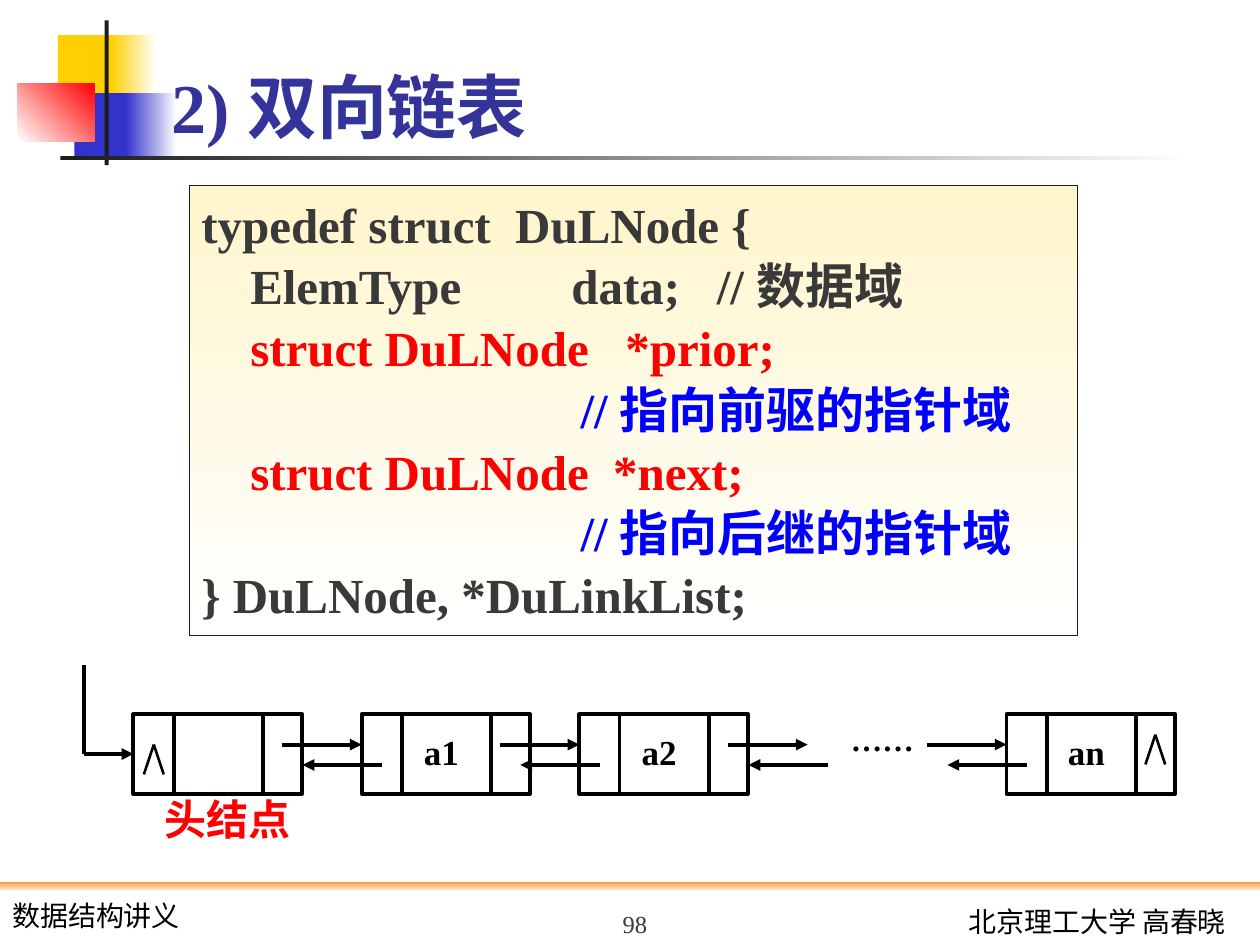
"""Build the slide on doubly linked lists: struct definition and node diagram."""
import pptx
import pptx.dml.color
import pptx.enum.shapes
import pptx.enum.text
import pptx.oxml.ns
import pptx.oxml.xmlchemy
import pptx.util
from dataclasses import dataclass

Cm = pptx.util.Cm
Pt = pptx.util.Pt
RECTANGLE = pptx.enum.shapes.MSO_SHAPE.RECTANGLE
ALIGN = pptx.enum.text.PP_ALIGN
ANCHOR = pptx.enum.text.MSO_ANCHOR


@dataclass(frozen=True)
class Theme:
    serif: str = "Times New Roman"
    footer_font: str = "Lato"
    caption_font: str = "Arial"
    title: str = "333399"
    ink: str = "393939"
    black: str = "000000"
    red: str = "FF0000"
    comment: str = "0000FF"
    dark: str = "1C1C1C"
    yellow: str = "FFCF01"
    blue: str = "3333CC"
    orange: str = "FF9933"
    cream: str = "FFF5CC"
    white: str = "FFFFFF"
    title_size: int = 40
    code_size: int = 28
    caption_size: int = 24
    node_size: int = 20
    dots_size: int = 18
    footer_size: int = 16
    number_size: int = 14


THEME = Theme()

TITLE = "2) 双向链表"
COMMENT_INDENT = " " * 31
CODE = [
    [("typedef struct  DuLNode {", THEME.ink)],
    [("    ElemType         data;   // 数据域", THEME.ink)],
    [("    struct DuLNode   *prior;", THEME.red)],
    [(COMMENT_INDENT + "// 指向前驱的指针域", THEME.comment)],
    [("    struct DuLNode  *next;", THEME.red)],
    [(COMMENT_INDENT + "// 指向后继的指针域", THEME.comment)],
    [("} DuLNode, *DuLinkList;", THEME.ink)],
]
NODES = [("", 2.69), ("a1", 7.29), ("a2", 11.68), ("an", 20.29)]
NEXT_TIPS = [7.29, 11.68, 16.28, 20.29]
NULL_MARKS = [(3.1, 15.01), (23.29, 14.81)]
DECORATION = [
    ((1.17, 0.71, 1.22, 1.32), [THEME.yellow], 0),
    ((2.24, 0.71, 0.91, 1.32), [THEME.yellow, THEME.white], 0),
    ((1.5, 1.88, 1.17, 1.32), [THEME.blue], 0),
    ((2.54, 1.88, 1.02, 1.32), [THEME.blue, THEME.white], 0),
    ((0.36, 1.68, 1.55, 1.17), [THEME.white, THEME.red], 45),
    ((2.11, 0.41, 0.08, 2.92), [THEME.dark], 0),
    ((1.22, 3.15, 22.86, 0.08), [THEME.dark, THEME.white], 0),
    ((0, 17.78, 25.4, 0.2), [THEME.orange, THEME.white], 270),
]
NODE_TOP, NODE_WIDTH, NODE_HEIGHT = 14.4, 3.4, 1.6
DATA_OFFSET, DATA_WIDTH = 0.81, 1.8
NEXT_Y, PRIOR_Y = 15.01, 15.42
ARROW_LENGTH, PRIOR_SHIFT = 1.6, 1.19
HEAD_X, HEAD_TOP = 1.7, 13.41


def rgb(value):
    return pptx.dml.color.RGBColor.from_string(value)


def write(frame, text, *, size, color=THEME.black, font=THEME.serif, bold=False,
          align=ALIGN.LEFT, anchor=ANCHOR.TOP, spacing=None, wrap=True):
    frame.word_wrap = wrap
    frame.auto_size = pptx.enum.text.MSO_AUTO_SIZE.NONE
    frame.vertical_anchor = anchor
    lines = [[(text, color)]] if isinstance(text, str) else text
    for index, line in enumerate(lines):
        paragraph = frame.paragraphs[0] if index == 0 else frame.add_paragraph()
        paragraph.alignment = align
        if spacing:
            paragraph.line_spacing = spacing
        for piece, piece_color in line:
            run = paragraph.add_run()
            run.text = piece
            run.font.name = font
            run.font.size = Pt(size)
            run.font.bold = bold
            run.font.color.rgb = rgb(piece_color)


def add_label(slide, box, text, **format):
    label = slide.shapes.add_textbox(*map(Cm, box))
    write(label.text_frame, text, **format)


def add_box(slide, box, colors=(), angle=0, outline=None, width=2.25):
    shape = slide.shapes.add_shape(RECTANGLE, *map(Cm, box))
    shape.shadow.inherit = False
    if len(colors) == 2:
        shape.fill.gradient()
        shape.fill.gradient_angle = angle
        for stop, color in zip(shape.fill.gradient_stops, colors):
            stop.color.rgb = rgb(color)
    elif colors:
        shape.fill.solid()
        shape.fill.fore_color.rgb = rgb(colors[0])
    else:
        shape.fill.background()
    if outline:
        shape.line.color.rgb = rgb(outline)
        shape.line.width = Pt(width)
    else:
        shape.line.fill.background()
    return shape


def add_line(slide, start, end, width=2.25, arrow=False):
    line = slide.shapes.add_connector(
        pptx.enum.shapes.MSO_CONNECTOR.STRAIGHT, *map(Cm, start + end))
    line.line.color.rgb = rgb(THEME.black)
    line.line.width = Pt(width)
    properties = line.element.find(pptx.oxml.ns.qn("p:spPr"))
    if arrow:
        tail = pptx.oxml.xmlchemy.OxmlElement("a:tailEnd")
        tail.set("type", "triangle")
        properties.find(pptx.oxml.ns.qn("a:ln")).append(tail)
    properties.append(pptx.oxml.xmlchemy.OxmlElement("a:effectLst"))
    return line


def add_title(slide):
    title = slide.shapes.title
    title.element.getparent().append(title.element)
    title.left, title.top, title.width, title.height = map(Cm, (3.2, 0.33, 21.64, 2.77))
    write(title.text_frame, TITLE, size=THEME.title_size, color=THEME.title,
          bold=True, anchor=ANCHOR.BOTTOM)


def add_footer(slide):
    add_label(slide, (18.62, 18.11, 6.35, 0.94), "北京理工大学 高春晓",
              size=THEME.footer_size, font=THEME.footer_font, align=ALIGN.RIGHT)
    add_label(slide, (0, 17.98, 4.45, 0.94), "数据结构讲义",
              size=THEME.footer_size, font=THEME.footer_font)
    add_label(slide, (10.16, 17.78, 5.28, 1.27), "98", size=THEME.number_size,
              color=THEME.ink, align=ALIGN.CENTER, anchor=ANCHOR.BOTTOM)


def add_linked_list(slide):
    cells = []
    for name, left in NODES:
        data_left = left + DATA_OFFSET
        cells.append(add_box(slide, (left, NODE_TOP, NODE_WIDTH, NODE_HEIGHT),
                             outline=THEME.black))
        add_box(slide, (data_left, NODE_TOP, DATA_WIDTH, NODE_HEIGHT), outline=THEME.black)
        if name:
            add_label(slide, (data_left, 14.6, 1.6, 1.09), name,
                      size=THEME.node_size, bold=True, align=ALIGN.CENTER)
    for tip in NEXT_TIPS:
        add_line(slide, (tip - ARROW_LENGTH, NEXT_Y), (tip, NEXT_Y), arrow=True)
        prior_tip = tip - PRIOR_SHIFT
        add_line(slide, (prior_tip + ARROW_LENGTH, PRIOR_Y), (prior_tip, PRIOR_Y), arrow=True)
    for x, y in NULL_MARKS:
        for side in (-0.2, 0.2):
            add_line(slide, (x, y), (x + side, y + 0.6), width=1.5)
    add_label(slide, (16.89, NODE_TOP, 1.8, 1.02), "……", size=THEME.dots_size,
              bold=True, align=ALIGN.CENTER, wrap=False)
    middle = NODE_TOP + NODE_HEIGHT / 2
    pointer = add_line(slide, (HEAD_X, middle), (NODES[0][1], middle), arrow=True)
    pointer.end_connect(cells[0], 1)
    add_line(slide, (HEAD_X, middle), (HEAD_X, HEAD_TOP))
    add_label(slide, (2.49, 15.88, 4.19, 1.27), "头结点", size=THEME.caption_size,
              color=THEME.red, font=THEME.caption_font, bold=True, align=ALIGN.CENTER)


def main():
    deck = pptx.Presentation()
    deck.slide_width, deck.slide_height = Cm(25.4), Cm(19.05)
    slide = deck.slides.add_slide(deck.slide_layouts[5])
    for box, colors, angle in DECORATION:
        add_box(slide, box, colors, angle)
    add_title(slide)
    add_footer(slide)
    definition = add_box(slide, (3.81, 3.73, 17.91, 9.07), [THEME.cream, THEME.white],
                         angle=270, outline=THEME.dark, width=0.25)
    write(definition.text_frame, CODE, size=THEME.code_size, bold=True, spacing=1.05)
    add_linked_list(slide)
    deck.save("out.pptx")


if __name__ == "__main__":
    main()
